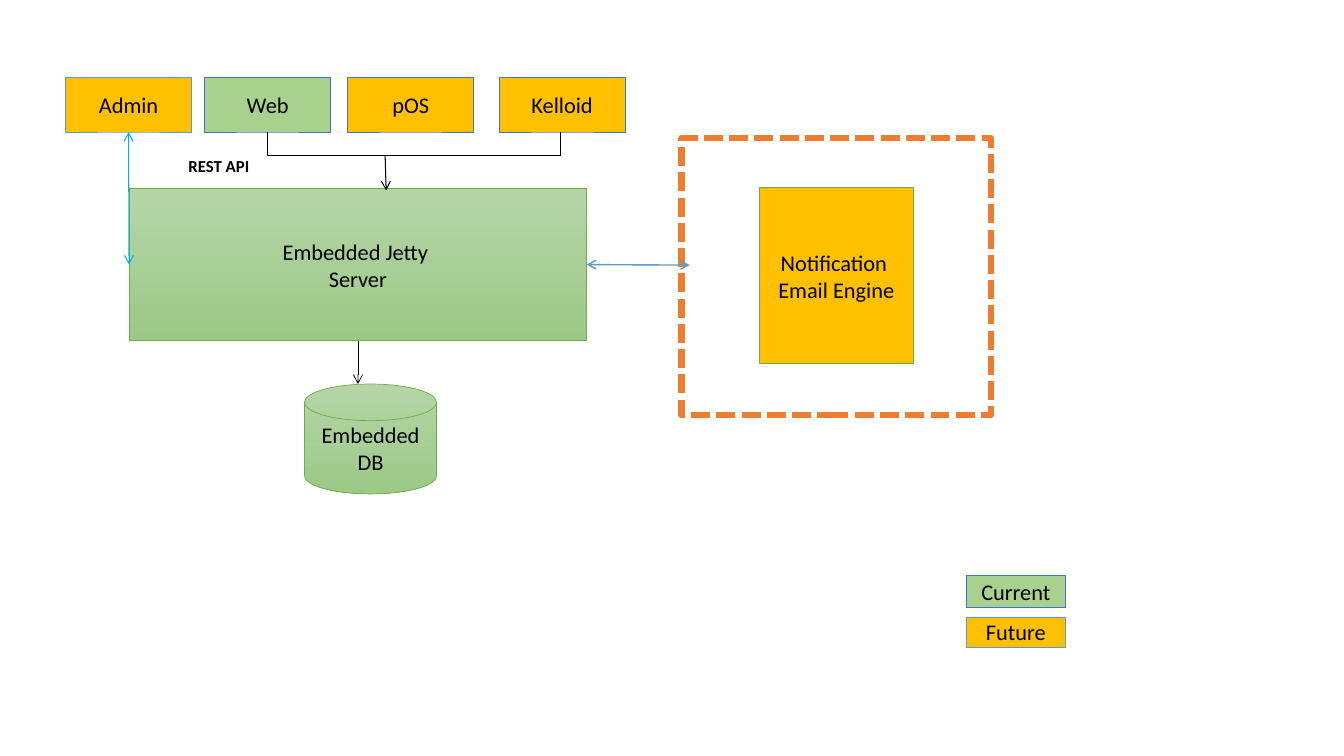
from lxml import etree
from pptx import Presentation
from pptx import util as u
from pptx.dml.color import RGBColor
from pptx.enum import dml, shapes, text
from pptx.oxml import ns

COLORS = {
    "current": "A9D18E", "future": "FFC000", "white": "FFFFFF", "black": "000000",
    "gradient_top": "B5D5A7", "gradient_bottom": "9CC987",
    "green": "70AD47", "blue": "4472C4", "sky": "5B9BD5",
    "cyan": "00B0F0", "orange": "ED7D31",
}


class Diagram:
    """Holds the text style and the current slide."""

    font, size = "Calibri", 16

    def __init__(self, slide):
        self.slide = slide

    def color(self, name):
        return RGBColor.from_string(COLORS[name])

    def set_text(self, frame, lines, size, align, bold=False):
        frame.word_wrap = True
        for i, line in enumerate(lines):
            paragraph = frame.paragraphs[0] if i == 0 else frame.add_paragraph()
            paragraph.text = line
            paragraph.alignment = align
            paragraph.font.name = self.font
            paragraph.font.size = u.Pt(size)
            paragraph.font.bold = bold
            paragraph.font.color.rgb = self.color("black")

    def box(self, at, fill, line, lines=(), kind=shapes.MSO_SHAPE.RECTANGLE, weight=0.5):
        shape = self.slide.shapes.add_shape(kind, *map(u.Inches, at))
        shape.shadow.inherit = False
        if fill == "gradient":
            shape.fill.gradient()
            shape.fill.gradient_angle = 270
            for stop, name in zip(shape.fill.gradient_stops, ("gradient_top", "gradient_bottom")):
                stop.color.rgb = self.color(name)
        else:
            shape.fill.solid()
            shape.fill.fore_color.rgb = self.color(fill)
        shape.line.color.rgb = self.color(line)
        shape.line.width = u.Pt(weight)
        shape.text_frame.vertical_anchor = text.MSO_ANCHOR.MIDDLE
        self.set_text(shape.text_frame, lines, self.size, text.PP_ALIGN.CENTER)
        return shape

    def label(self, at, words, size):
        box = self.slide.shapes.add_textbox(*map(u.Inches, at))
        self.set_text(box.text_frame, [words], size, text.PP_ALIGN.LEFT, bold=True)

    def connector(self, kind, start, end, color, weight, ends=()):
        line = self.slide.shapes.add_connector(kind, *map(u.Inches, start + end))
        line.line.color.rgb = self.color(color)
        line.line.width = u.Pt(weight)
        properties = line._element.spPr
        for end_name in ends:
            etree.SubElement(properties.find(ns.qn("a:ln")), ns.qn(f"a:{end_name}"), type="arrow")
        etree.SubElement(properties, ns.qn("a:effectLst"))
        return line

    def arrow(self, start, end, color, weight, both=False):
        ends = ("headEnd", "tailEnd") if both else ("tailEnd",)
        return self.connector(shapes.MSO_CONNECTOR.STRAIGHT, start, end, color, weight, ends)

    def elbow(self, start, end, color, weight):
        """One bend: down from start, then sideways to end."""
        (x1, y1), (x2, y2) = start, end
        mid_x, mid_y = (x1 + x2) / 2, (y1 + y2) / 2
        half_w, half_h = (y2 - y1) / 2, abs(x2 - x1) / 2
        # The frame is turned a quarter, so its width and height swap
        turn, degrees = (-1, 270) if x2 > x1 else (1, 90)
        line = self.connector(
            shapes.MSO_CONNECTOR.ELBOW,
            (mid_x - turn * half_w, mid_y - half_h),
            (mid_x + turn * half_w, mid_y + half_h), color, weight)
        properties = line._element.spPr
        properties.find(ns.qn("a:prstGeom")).set("prst", "bentConnector2")
        properties.find(ns.qn("a:xfrm")).set("rot", str(degrees * 60000))


def main():
    presentation = Presentation()
    presentation.slide_width, presentation.slide_height = u.Inches(13.33), u.Inches(7.5)
    diagram = Diagram(presentation.slides.add_slide(presentation.slide_layouts[6]))

    # Notification zone
    zone = diagram.box((6.76, 1.37, 3.07, 2.75), "white", "orange", weight=4.5)
    zone.line.dash_style = dml.MSO_LINE.SQUARE_DOT

    # Server, email engine and database
    server = diagram.box((1.28, 1.87, 4.54, 1.51), "gradient", "green",
                         ["Embedded Jetty ", "Server"])
    diagram.box((7.53, 1.86, 1.53, 1.75), "future", "green",
                ["Notification ", "Email Engine"])
    diagram.box((3.02, 3.81, 1.31, 1.09), "gradient", "green", ["Embedded DB"],
                shapes.MSO_SHAPE.FLOWCHART_MAGNETIC_DISK)
    diagram.label((1.77, 1.5, 0.88, 0.3), "REST API", 12)

    # Clients
    clients = {}
    for name, left, fill, line in (
        ("Admin", 0.65, "future", "sky"),
        ("Web", 2.03, "current", "blue"),
        ("pOS", 3.45, "future", "blue"),
        ("Kelloid", 4.95, "future", "blue"),
    ):
        clients[name] = diagram.box((left, 0.77, 1.25, 0.54), fill, line, [name])

    # Client requests join and enter the server
    for client_x in (2.65, 5.56):
        diagram.elbow((client_x, 1.31), (4.06, 1.54), "black", 0.75)
    diagram.arrow((3.82, 1.54), (3.83, 1.89), "black", 0.75)

    # Links of the server
    to_engine = diagram.arrow((5.82, 2.63), (6.84, 2.63), "sky", 1, both=True)
    to_engine.begin_connect(server, 3)
    to_database = diagram.arrow((3.55, 3.38), (3.55, 3.81), "black", 0.5)
    to_database.begin_connect(server, 2)
    to_admin = diagram.arrow((1.28, 1.31), (1.28, 2.63), "cyan", 0.75, both=True)
    to_admin.begin_connect(clients["Admin"], 2)
    to_admin.end_connect(server, 1)

    # Legend
    diagram.box((9.58, 5.71, 0.99, 0.32), "current", "blue", ["Current"])
    diagram.box((9.58, 6.12, 0.99, 0.3), "future", "sky", ["Future"])

    presentation.save("out.pptx")


if __name__ == "__main__":
    main()
